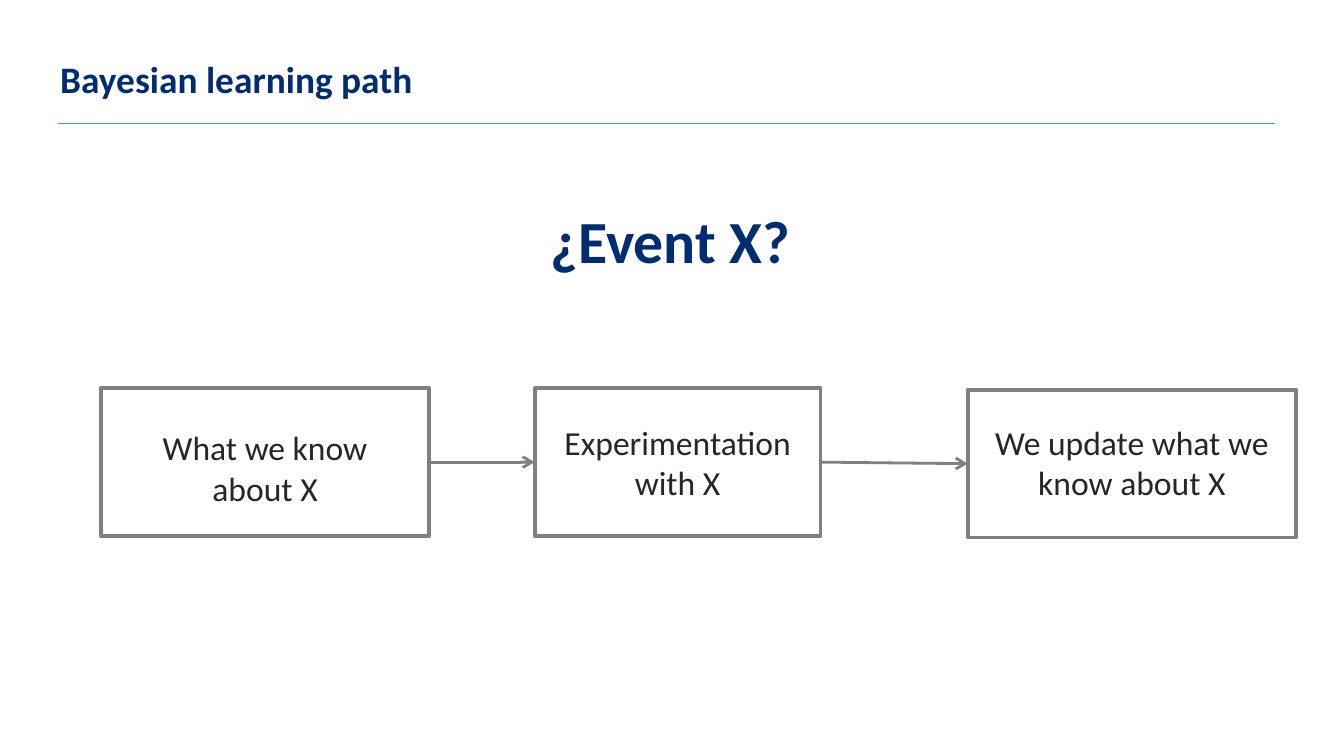
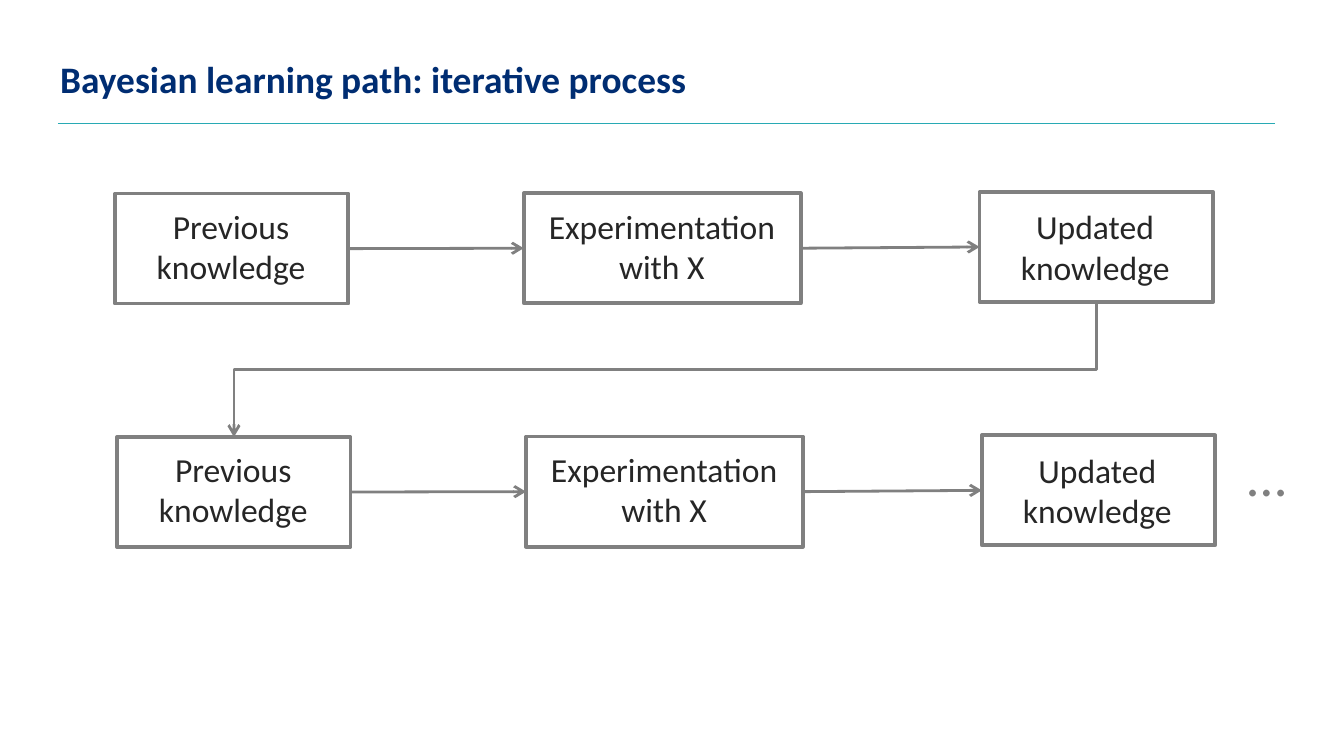
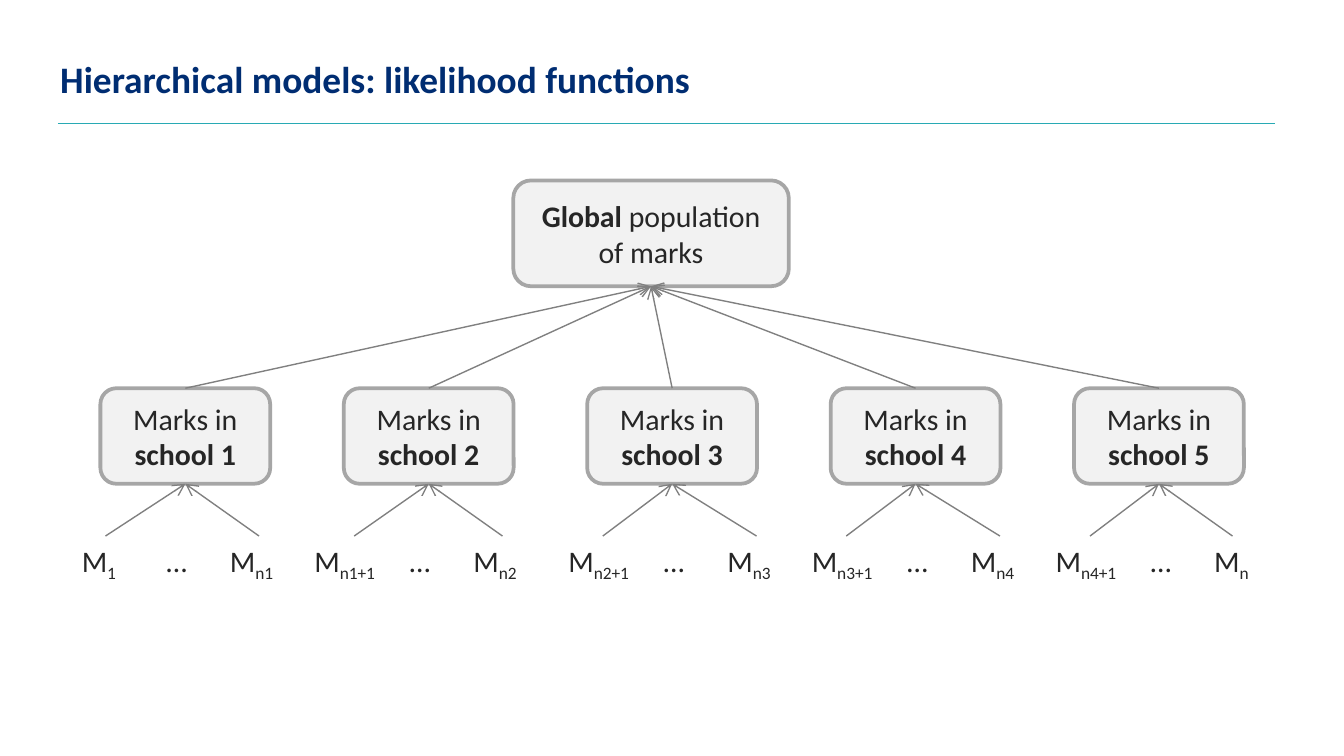
from dataclasses import dataclass

import pptx
import pptx.dml.color
import pptx.enum.shapes
import pptx.enum.text
import pptx.oxml.ns
import pptx.util
from lxml import etree

Pt = pptx.util.Pt
Shape = pptx.enum.shapes.MSO_SHAPE
Connector = pptx.enum.shapes.MSO_CONNECTOR
Align = pptx.enum.text.PP_ALIGN
TOP, LEFT, BOTTOM, RIGHT = range(4)  # connection sites of a box


@dataclass(frozen=True)
class Theme:
    font: str = "Calibri"
    navy: str = "002D72"
    teal: str = "28AAB4"
    ink: str = "262626"
    gray: str = "808080"
    border: str = "A6A6A6"
    panel: str = "F2F2F2"
    title_size: float = 20
    question_size: float = 32
    dots_size: float = 30
    label_size: float = 18
    node_size: float = 16


THEME = Theme()


def rgb(color):
    return pptx.dml.color.RGBColor.from_string(color)


# Text
def write_span(para, text, *, size, color=THEME.ink, bold=False, baseline=None):
    span = para.add_run()
    span.text = text
    span.font.name = THEME.font
    span.font.size = Pt(size)
    span.font.bold = bold
    span.font.color.rgb = rgb(color)
    if baseline:
        span.font._element.set("baseline", str(baseline * 1000))


def add_label(page, left, top, width, height, text, *, subscript="",
              align=Align.LEFT, wrap=True, size=THEME.label_size, **style):
    box = page.shapes.add_textbox(Pt(left), Pt(top), Pt(width), Pt(height))
    frame = box.text_frame
    frame.word_wrap = wrap
    frame.auto_size = pptx.enum.text.MSO_AUTO_SIZE.SHAPE_TO_FIT_TEXT
    for index, line in enumerate(text.split("\n")):
        para = frame.add_paragraph() if index else frame.paragraphs[0]
        para.alignment = align
        write_span(para, line, size=size, **style)
    if subscript:
        write_span(para, subscript, size=size, baseline=-25, **style)
    return box


# Boxes
def add_box(page, left, top, width, height, kind=Shape.RECTANGLE,
            line=THEME.gray, fill=None):
    box = page.shapes.add_shape(kind, Pt(left), Pt(top), Pt(width), Pt(height))
    box.shadow.inherit = False
    box.line.color.rgb = rgb(line)
    box.line.width = Pt(2)
    if fill:
        box.fill.solid()
        box.fill.fore_color.rgb = rgb(fill)
    else:
        box.fill.background()
    return box


def add_node(page, left, top, width, height, spans):
    """Rounded box; spans are pairs of text and bold."""
    box = add_box(page, left, top, width, height, Shape.ROUNDED_RECTANGLE,
                  THEME.border, THEME.panel)
    frame = box.text_frame
    frame.word_wrap = True
    frame.vertical_anchor = pptx.enum.text.MSO_ANCHOR.MIDDLE
    para = frame.paragraphs[0]
    para.alignment = Align.CENTER
    for text, bold in spans:
        write_span(para, text, size=THEME.node_size, bold=bold)
    return box


# Lines and arrows
def style_line(line, color, width, arrow):
    line.line.color.rgb = rgb(color)
    line.line.width = Pt(width)
    qn = pptx.oxml.ns.qn
    properties = line._element.spPr
    if arrow:
        outline = properties.find(qn("a:ln"))
        etree.SubElement(outline, qn("a:tailEnd"), type="arrow")
    etree.SubElement(properties, qn("a:effectLst"))


def link(page, start, start_site, end, end_site, width=1.5):
    line = page.shapes.add_connector(Connector.STRAIGHT, 0, 0, 0, 0)
    line.begin_connect(start, start_site)
    line.end_connect(end, end_site)
    style_line(line, THEME.gray, width, arrow=True)


def add_return_arrow(page, start, end):
    """Elbow arrow from the bottom of start down and left to the top of end."""
    start_x, start_y = start.left + start.width // 2, start.top + start.height
    end_x, end_y = end.left + end.width // 2, end.top
    drop, run = end_y - start_y, start_x - end_x
    left = (start_x + end_x - drop) // 2
    top = (start_y + end_y - run) // 2
    line = page.shapes.add_connector(Connector.ELBOW, left, top,
                                     left + drop, top + run)
    line._element.spPr.xfrm.set("rot", str(90 * 60000))
    style_line(line, THEME.gray, 1.5, arrow=True)


def add_page(deck, title):
    page = deck.slides.add_slide(deck.slide_layouts[6])
    add_label(page, 25.2, 26.6, 453.6, 31.7, title,
              size=THEME.title_size, color=THEME.navy, bold=True)
    rule = page.shapes.add_connector(Connector.STRAIGHT, Pt(31), Pt(66.2),
                                     Pt(683.3), Pt(66.2))
    style_line(rule, THEME.teal, 1, arrow=False)
    return page


def add_flow(page, steps, height, shift=(0, 0)):
    """Steps hold text, box (left, top, width) and label (left, top, width)."""
    across, down = shift
    boxes = []
    for text, (left, top, width), (text_left, text_top, text_width) in steps:
        boxes.append(add_box(page, left + across, top + down, width, height))
        add_label(page, text_left + across, text_top + down, text_width, 51,
                  text, align=Align.CENTER)
    for start, end in zip(boxes, boxes[1:]):
        link(page, start, RIGHT, end, LEFT)
    return boxes


# Slides
def build_learning_path(deck):
    page = add_page(deck, "Bayesian learning path")
    add_label(page, 288, 105.8, 144, 46, "¿Event X?", wrap=False,
              size=THEME.question_size, color=THEME.navy, bold=True)
    add_flow(page, [
        ("What we know\nabout X", (54, 208, 176), (54, 225.4, 176)),
        ("Experimentation with X", (286.4, 208, 153.2), (286.4, 222.5, 153.2)),
        ("We update what we know about X", (518.4, 208.8, 176),
         (518.4, 222.5, 176)),
    ], height=79.2)


def build_iterative_process(deck):
    page = add_page(deck, "Bayesian learning path: iterative process")
    steps = [
        ("Previous knowledge", (61.6, 103.7, 125), (69.8, 106.6, 108)),
        ("Experimentation with X", (280.6, 103.5, 148.4), (284.4, 106.6, 140.4)),
        ("Updated knowledge", (524.8, 102.8, 125), (524.2, 107, 125)),
    ]
    first = add_flow(page, steps, height=59)
    second = add_flow(page, steps, height=59, shift=(1.2, 130.4))
    add_label(page, 657.4, 232.6, 42.5, 44, "…", align=Align.CENTER,
              size=THEME.dots_size, color=THEME.gray)
    add_return_arrow(page, first[-1], second[0])


def build_hierarchy(deck):
    page = add_page(deck, "Hierarchical models: likelihood functions")
    population = add_node(page, 275, 96.7, 147.6, 56.7,
                          [("Global ", True), ("population of marks", False)])

    # First mark (subscript, left, width), dots offset, last mark (subscript, width)
    schools = [
        (("1", 36.7, 39.6), 28.2, ("n1", 45.4)),
        (("n1+1", 161.3, 56.9), 28.2, ("n2", 45.4)),
        (("n2+1", 297.4, 51.1), 33.9, ("n3", 45.4)),
        (("n3+1", 427.8, 51.1), 33.9, ("n4", 45.4)),
        (("n4+1", 558.4, 51.1), 33.9, ("n", 33.8)),
    ]
    mark_top, mark_height, dots_width = 287.2, 26.6, 34.1
    for index, (first, dots_offset, last) in enumerate(schools):
        left = 53.8 + 130.4 * index
        school = add_node(page, left, 208, 91, 51.2,
                          [("Marks in ", False), (f"school {index + 1}", True)])
        link(page, school, TOP, population, BOTTOM, width=0.75)

        dots_left = left + dots_offset
        add_label(page, dots_left, mark_top, dots_width, mark_height, "…",
                  size=THEME.node_size)
        first_name, first_left, first_width = first
        last_name, last_width = last
        for name, mark_left, width in (
                (first_name, first_left, first_width),
                (last_name, dots_left + dots_width, last_width)):
            mark = add_label(page, mark_left, mark_top, width, mark_height, "M",
                             subscript=name, size=THEME.node_size)
            link(page, mark, TOP, school, BOTTOM, width=0.75)


def main():
    deck = pptx.Presentation()
    deck.slide_width, deck.slide_height = Pt(720), Pt(405)
    build_learning_path(deck)
    build_iterative_process(deck)
    build_hierarchy(deck)
    deck.save("out.pptx")


if __name__ == "__main__":
    main()
